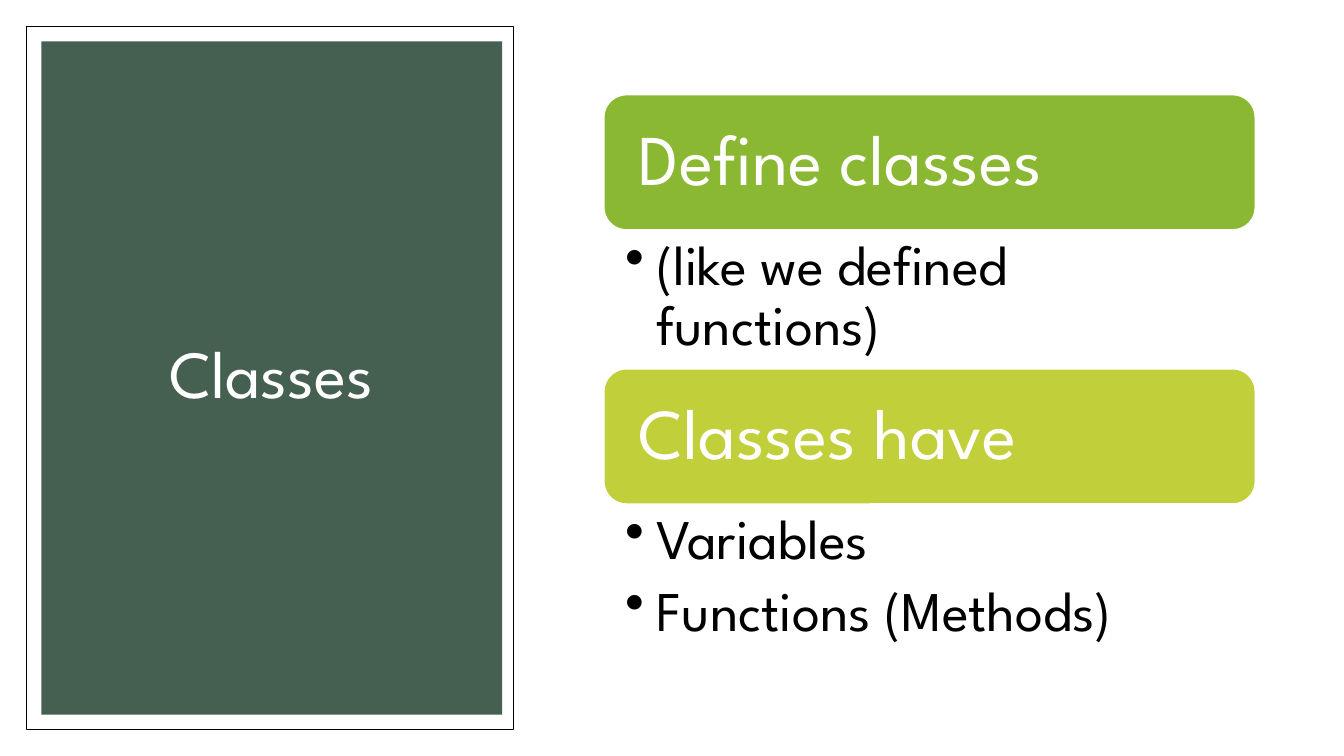
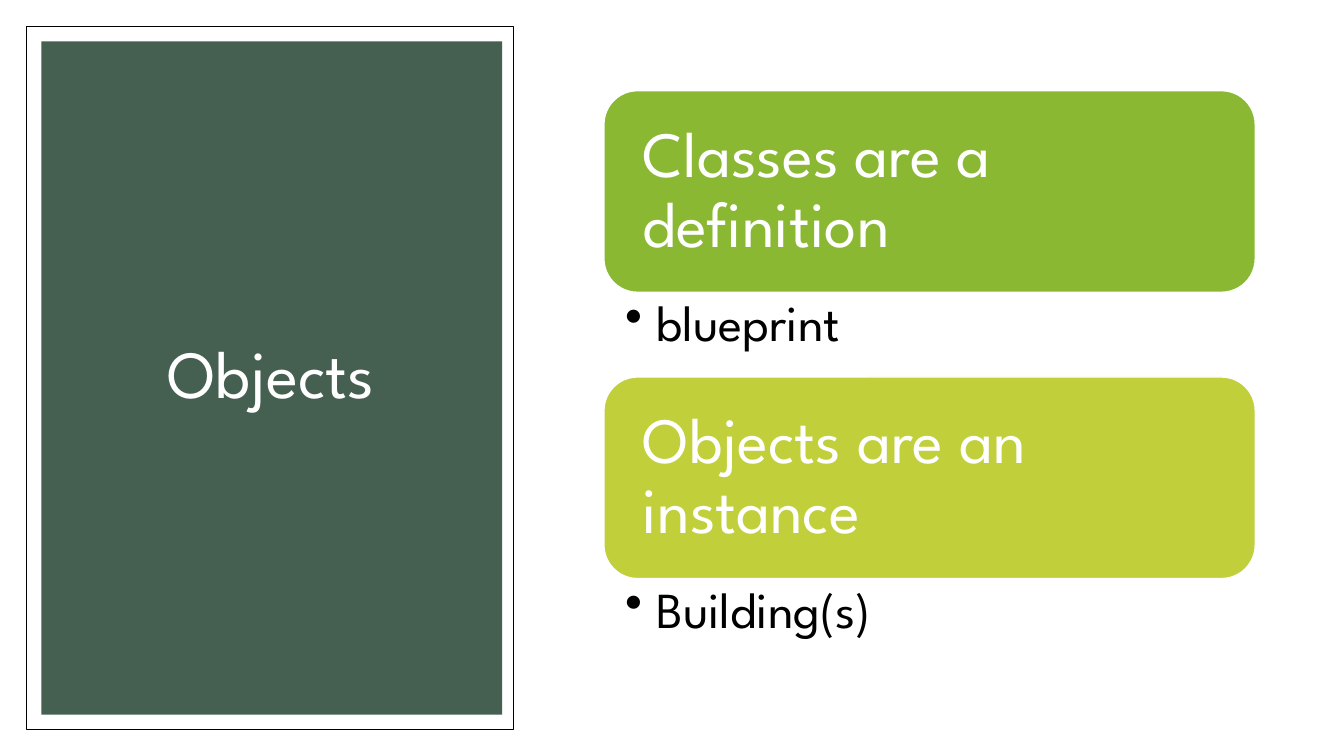
"""Build two slides, each with a framed title panel and headed lists."""
from lxml import etree
from pptx import Presentation
from pptx.dml.color import RGBColor
from pptx.enum.shapes import MSO_SHAPE
from pptx.enum.text import MSO_ANCHOR, MSO_AUTO_SIZE, PP_ALIGN
from pptx.oxml.ns import qn
from pptx.util import Inches, Pt

RECTANGLE, ROUNDED = MSO_SHAPE.RECTANGLE, MSO_SHAPE.ROUNDED_RECTANGLE
TOP, MIDDLE = MSO_ANCHOR.TOP, MSO_ANCHOR.MIDDLE
LEFT, CENTER = PP_ALIGN.LEFT, PP_ALIGN.CENTER
NO_FIT = MSO_AUTO_SIZE.NONE

WHITE = RGBColor(0xFF, 0xFF, 0xFF)
BLACK = RGBColor(0x00, 0x00, 0x00)
DARK_GREEN = RGBColor(0x45, 0x5F, 0x51)
HEADING_COLORS = [RGBColor(0x8A, 0xB8, 0x33), RGBColor(0xC0, 0xCF, 0x3A)]

FONT = "League Spartan"
TWO_CONTENT_LAYOUT = 3
FRAME_BOX = (0.26, 0.26, 4.83, 6.98)
PANEL_BOX = (0.41, 0.41, 4.57, 6.68)
TITLE_BOX = (0.63, 0.74, 4.12, 5.99)
TITLE_SIZE = 48
COLUMN_LEFT, COLUMN_WIDTH = 5.99, 6.46
BULLET_INDENT = 0.31

SLIDES = [
    {
        "title": "Classes",
        "sections": [
            ("Define classes", ["(like we defined functions)"]),
            ("Classes have", ["Variables", "Functions (Methods)"]),
        ],
        "top": 0.94,
        "heading": {"height": 1.34, "size": 51, "inset": 0.28},
        "list": {"heights": [1.38, 1.53], "size": 40, "insets": (0.21, 0.07, 0.4, 0.07)},
    },
    {
        "title": "Objects",
        "sections": [
            ("Classes are a definition", ["blueprint"]),
            ("Objects are an instance", ["Building(s)"]),
        ],
        "top": 0.9,
        "heading": {"height": 2, "size": 46, "inset": 0.29},
        "list": {"heights": [0.84, 0.84], "size": 36, "insets": (0.21, 0.06, 0.36, 0.06)},
    },
]


def set_values(target, values):
    """Set each named attribute on the target."""
    for name, value in values.items():
        setattr(target, name, value)


def place(shape, box):
    """Move and size a shape in inches."""
    set_values(shape, dict(zip(("left", "top", "width", "height"), map(Inches, box))))


def add_block(slide, kind, box, fill, line=None, line_width=1):
    """Add a flat filled shape, outlined if a line colour is given."""
    shape = slide.shapes.add_shape(kind, *map(Inches, box))
    shape.shadow.inherit = False
    shape.fill.solid()
    shape.fill.fore_color.rgb = fill
    if line is None:
        shape.line.fill.background()
    else:
        shape.line.color.rgb = line
        shape.line.width = Pt(line_width)
    return shape


def write_text(shape, lines, size, color, alignment, anchor, insets):
    """Fill a shape with formatted paragraphs."""
    frame = shape.text_frame
    frame.text = "\n".join(lines)
    margins = ("margin_left", "margin_top", "margin_right", "margin_bottom")
    set_values(frame, {"word_wrap": True, "auto_size": NO_FIT, "vertical_anchor": anchor})
    set_values(frame, dict(zip(margins, map(Inches, insets))))
    for paragraph in frame.paragraphs:
        set_values(paragraph, {"alignment": alignment, "line_spacing": 0.9,
                               "space_before": Pt(0), "space_after": Pt(0.2 * size)})
        for run in paragraph.runs:
            set_values(run.font, {"name": FONT, "size": Pt(size)})
            run.font.color.rgb = color


def add_bullets(shape):
    """Give each paragraph a hanging bullet in the text's own font."""
    for paragraph in shape.text_frame.paragraphs:
        properties = paragraph._p.get_or_add_pPr()
        properties.set("marL", str(Inches(BULLET_INDENT)))
        properties.set("indent", str(-Inches(BULLET_INDENT)))
        etree.SubElement(properties, qn("a:buFontTx"))
        etree.SubElement(properties, qn("a:buChar")).set("char", "•")


def add_title_panel(slide, text):
    """Draw the framed panel with the title in front of it."""
    add_block(slide, RECTANGLE, FRAME_BOX, WHITE, BLACK, 0.5)
    panel = add_block(slide, RECTANGLE, PANEL_BOX, DARK_GREEN)
    title = slide.shapes.title
    place(title, TITLE_BOX)
    write_text(title, [text], TITLE_SIZE, WHITE, CENTER, MIDDLE, (0.1, 0.05, 0.1, 0.05))
    panel.element.addnext(title.element)


def add_sections(slide, content):
    """Stack headings and their lists down the right column."""
    heading_style, list_style = content["heading"], content["list"]
    top = content["top"]
    bodies = list(slide.placeholders)[1:]
    for (heading, items), color, body, list_height in zip(
            content["sections"], HEADING_COLORS, bodies, list_style["heights"]):
        box = (COLUMN_LEFT, top, COLUMN_WIDTH, heading_style["height"])
        block = add_block(slide, ROUNDED, box, color, WHITE)
        write_text(block, [heading], heading_style["size"], WHITE, LEFT, MIDDLE,
                   [heading_style["inset"]] * 4)
        top += heading_style["height"]
        place(body, (COLUMN_LEFT, top, COLUMN_WIDTH, list_height))
        write_text(body, items, list_style["size"], BLACK, LEFT, TOP, list_style["insets"])
        add_bullets(body)
        top += list_height


def main():
    """Build and save the presentation."""
    presentation = Presentation()
    set_values(presentation, {"slide_width": Inches(13.33), "slide_height": Inches(7.5)})
    layout = presentation.slide_layouts[TWO_CONTENT_LAYOUT]
    for content in SLIDES:
        slide = presentation.slides.add_slide(layout)
        add_title_panel(slide, content["title"])
        add_sections(slide, content)
    presentation.save("out.pptx")


if __name__ == "__main__":
    main()
